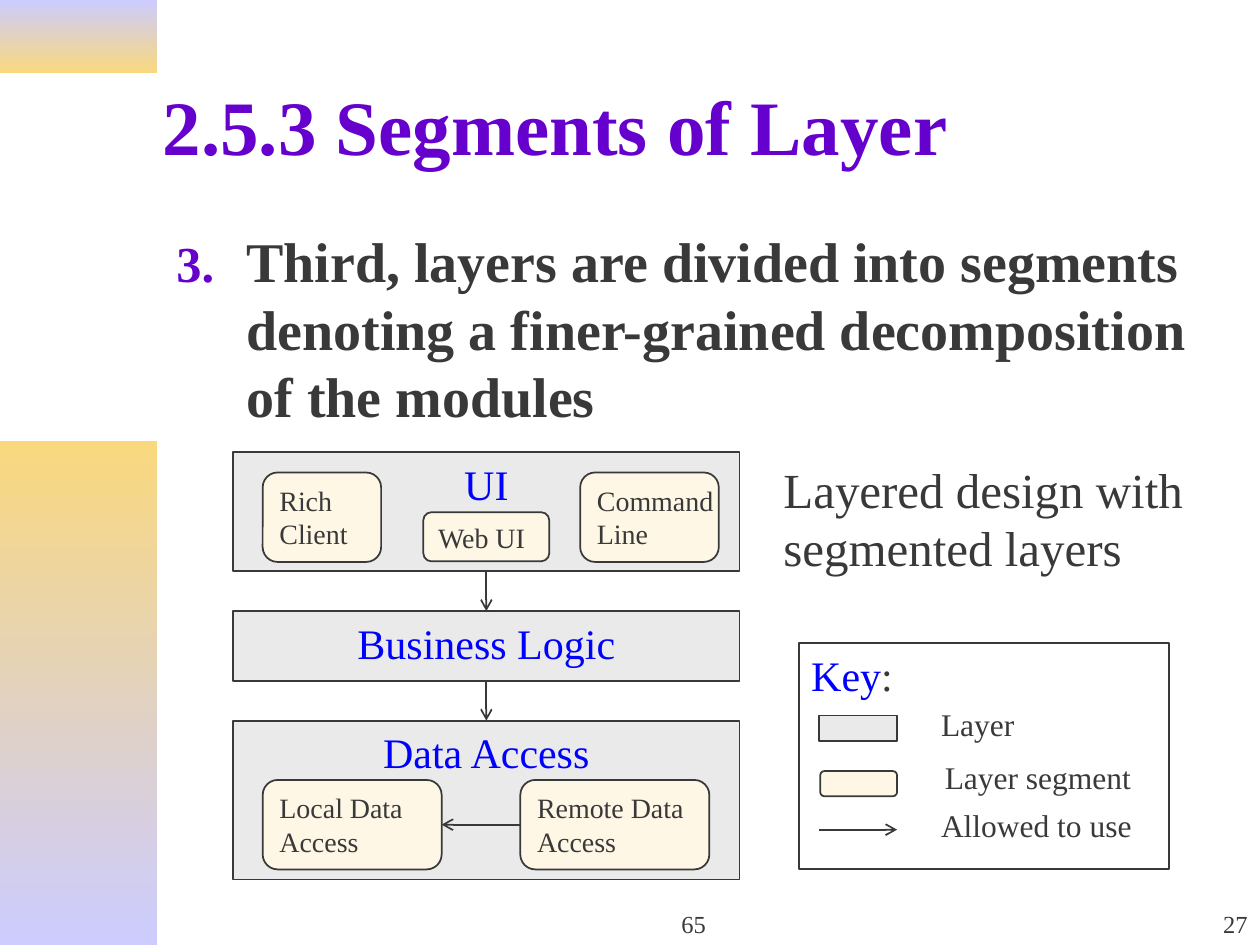
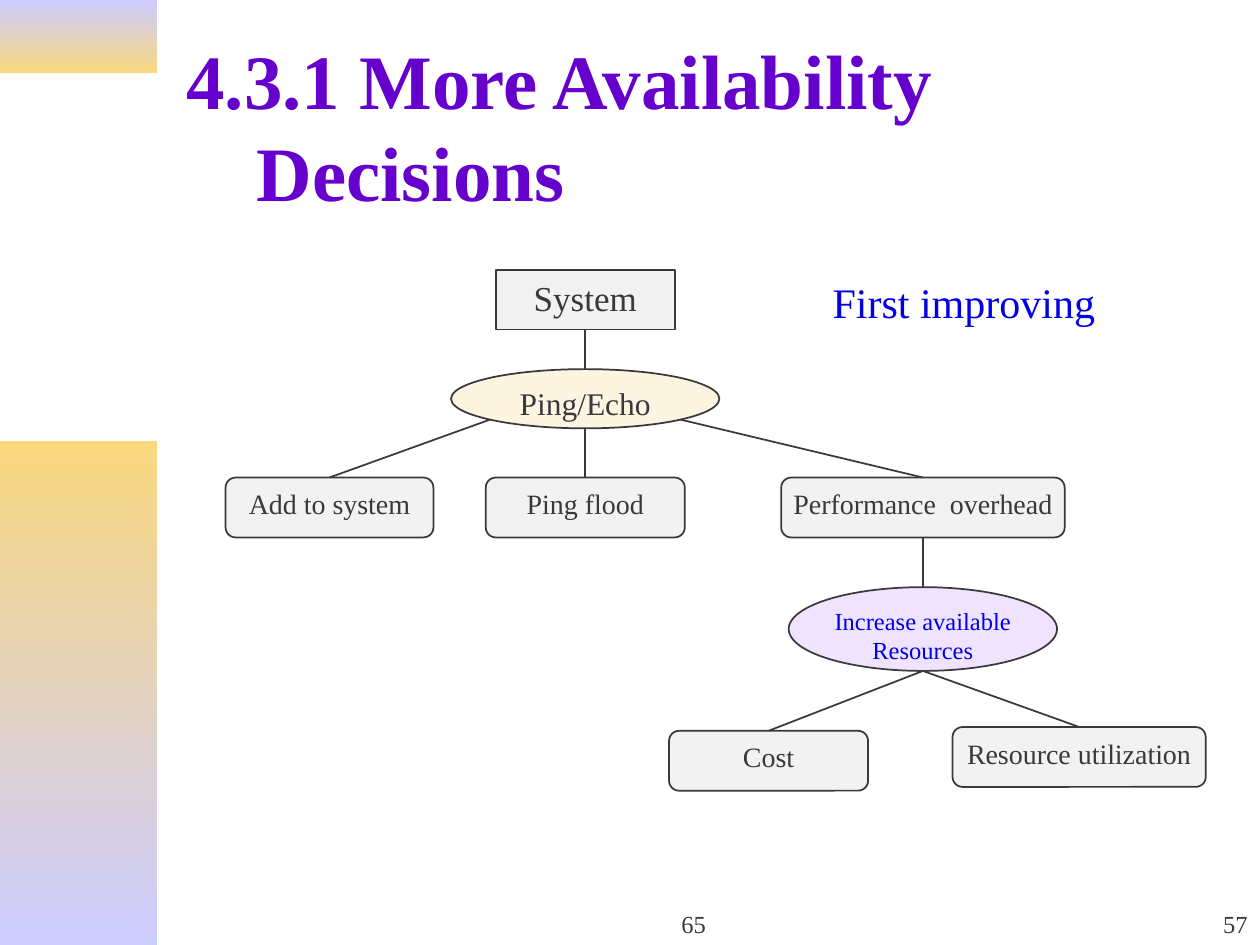
from lxml import etree
from pptx import Presentation
from pptx.dml.color import RGBColor
from pptx.enum.shapes import MSO_CONNECTOR, MSO_SHAPE
from pptx.enum.text import MSO_ANCHOR, MSO_AUTO_SIZE, PP_ALIGN
from pptx.oxml.ns import qn
from pptx.util import Pt

RECT, ROUND, OVAL = MSO_SHAPE.RECTANGLE, MSO_SHAPE.ROUNDED_RECTANGLE, MSO_SHAPE.OVAL
STRAIGHT = MSO_CONNECTOR.STRAIGHT
LEFT, CENTER, RIGHT = PP_ALIGN.LEFT, PP_ALIGN.CENTER, PP_ALIGN.RIGHT
TOP_ANCHOR, MIDDLE, BOTTOM_ANCHOR = MSO_ANCHOR.TOP, MSO_ANCHOR.MIDDLE, MSO_ANCHOR.BOTTOM
NO_FIT = MSO_AUTO_SIZE.NONE
TOP, LEFT_SIDE, BOTTOM, RIGHT_SIDE = range(4)

FONT = "Times New Roman"
COLORS = {name: RGBColor.from_string(value) for name, value in {
    "heading": "6600CC", "ink": "393939", "layer_name": "0000FF", "accent": "0000E5",
    "layer": "EAEAEA", "segment": "FEF7E5", "node": "F2F2F2", "white": "FFFFFF",
    "tactic": "FBE9C0", "added_tactic": "E0C2FF", "lilac": "CCCCFF", "gold": "F9D87E",
}.items()}

prs = Presentation()
prs.slide_width, prs.slide_height = Pt(720), Pt(540)
CELL = prs.slide_width / 100  # the slide is 100 columns by 75 rows of square cells


def box(slide, at, text="", size=16, kind=None, fill=None, color="ink",
        align=LEFT, anchor=TOP_ANCHOR, alpha=None):
    """Add an outlined shape, or a bare text box when kind is None; at is in cells."""
    place = [round(v * CELL) for v in at]
    if kind is None:
        shape = slide.shapes.add_textbox(*place)
    else:
        shape = slide.shapes.add_shape(kind, *place)
        shape.shadow.inherit = False
        shape.fill.solid()
        shape.fill.fore_color.rgb = COLORS[fill]
        shape.line.color.rgb = COLORS["ink"]
        shape.line.width = Pt(1)
    if alpha:
        tint = shape.fill._xPr.find(qn("a:solidFill"))[0]
        etree.SubElement(tint, qn("a:alpha"), val=str(alpha * 1000))
    frame = shape.text_frame
    frame.word_wrap = False
    frame.vertical_anchor = anchor
    frame.text = text
    for paragraph in frame.paragraphs:
        paragraph.alignment = align
        for key, value in {"name": FONT, "size": Pt(size)}.items():
            setattr(paragraph.font, key, value)
        paragraph.font.color.rgb = COLORS[color]
    return shape


def link(slide, start, end, arrow=False):
    """Draw a line; each end is (shape, side) or (column, row)."""
    ends = [[round(v * CELL) for v in spot] if isinstance(spot[0], (int, float)) else (0, 0)
            for spot in (start, end)]
    line = slide.shapes.add_connector(STRAIGHT, *ends[0], *ends[1])
    for spot, connect in ((start, line.begin_connect), (end, line.end_connect)):
        if not isinstance(spot[0], (int, float)):
            connect(*spot)
    line.line.color.rgb = COLORS["ink"]
    line.line.width = Pt(1)
    if arrow:
        etree.SubElement(line.line._get_or_add_ln(), qn("a:tailEnd"), type="arrow")
    etree.SubElement(line._element.spPr, qn("a:effectLst"))


# Both slides: title, page numbers
segments = prs.slides.add_slide(prs.slide_layouts[1])
decisions = prs.slides.add_slide(prs.slide_layouts[5])
for slide, title, left, width, page in (
        (segments, "2.5.3 Segments of Layer", 11.9, 87.7, "27"),
        (decisions, "4.3.1 More Availability Decisions", 13.8, 85.9, "57")):
    heading = slide.shapes.title
    for side, value in zip(("left", "top", "width", "height"), (left, 3.3, width, 13.2)):
        setattr(heading, side, round(value * CELL))
    heading.text_frame.text = title
    heading.text_frame.auto_size = NO_FIT
    heading.text_frame.vertical_anchor = MIDDLE
    line = heading.text_frame.paragraphs[0]
    line.alignment = LEFT
    for key, value in {"name": FONT, "size": Pt(44), "bold": True}.items():
        setattr(line.font, key, value)
    line.font.color.rgb = COLORS["heading"]
    box(slide, (39.2, 70, 31.7, 5), "65", 14, align=CENTER, anchor=BOTTOM_ANCHOR)
    box(slide, (79.2, 70, 20.8, 5), page, 14, align=RIGHT, anchor=BOTTOM_ANCHOR)
hanging = decisions.shapes.title.text_frame.paragraphs[0]._p.get_or_add_pPr()
hanging.set("marL", str(Pt(40)))
hanging.set("indent", str(-Pt(40)))

# Side bands, kept on the master
for at, shades in (((0, 0, 12.5, 5.8), ("lilac", "gold")),
                   ((0, 35, 12.5, 40), ("gold", "lilac"))):
    band = box(segments, at, kind=RECT, fill="gold")
    band.line.fill.background()
    band.fill.gradient()
    band.fill.gradient_angle = 270
    for stop, shade, position in zip(band.fill.gradient_stops, shades, (0, 1)):
        stop.color.rgb = COLORS[shade]
        stop.position = position
    prs.slide_master.shapes._spTree.insert(2, band._element)

# Slide 1: numbered statement
statement = segments.placeholders[1]
for side, value in zip(("left", "top", "width", "height"), (13, 17.5, 86.6, 17.6)):
    setattr(statement, side, round(value * CELL))
statement.text_frame.text = ("Third, layers are divided into segments denoting "
                             "a finer-grained decomposition of the modules")
statement.text_frame.auto_size = NO_FIT
point = statement.text_frame.paragraphs[0]
point.space_before = Pt(0)
numbering = point._p.get_or_add_pPr()
numbering.set("marL", str(Pt(40)))
numbering.set("indent", str(-Pt(40)))
number_color = etree.SubElement(numbering, qn("a:buClr"))
etree.SubElement(number_color, qn("a:srgbClr"), val=str(COLORS["heading"]))
etree.SubElement(numbering, qn("a:buSzPct"), val="90000")
etree.SubElement(numbering, qn("a:buFont"), typeface=FONT)
etree.SubElement(numbering, qn("a:buAutoNum"), type="arabicPeriod", startAt="3")
for key, value in {"name": FONT, "size": Pt(32), "bold": True}.items():
    setattr(point.font, key, value)
point.font.color.rgb = COLORS["ink"]

# Slide 1: layers and their segments
ui, logic, data = [
    box(segments, (18.5, top, 40.2, height), name, 24, RECT, "layer", "layer_name", CENTER)
    for name, top, height in (("UI", 35.9, 9.45), ("Business Logic", 48.5, 5.55),
                              ("Data Access", 57.2, 12.6))]
web, rich, command, local, remote = [
    box(segments, at, name, 16, ROUND, "segment")
    for name, at in (("Web UI", (33.6, 40.65, 10, 3.9)),
                     ("Rich\nClient", (20.85, 37.5, 9.4, 7.1)),
                     ("Command\nLine", (46.05, 37.5, 11, 7.1)),
                     ("Local Data\nAccess", (20.85, 61.9, 14.2, 7.1)),
                     ("Remote Data\nAccess", (41.3, 61.9, 15, 7.1)))]
link(segments, (remote, LEFT_SIDE), (local, RIGHT_SIDE), arrow=True)
for user, used in ((ui, logic), (logic, data)):
    link(segments, (user, BOTTOM), (used, TOP), arrow=True)

# Slide 1: key and caption
key_panel = box(segments, (63.4, 51.05, 29.4, 17.95), "Key", 24, RECT, "white", "layer_name")
colon = key_panel.text_frame.paragraphs[0].add_run()
colon.text = ":"
colon.font.color.rgb = COLORS["ink"]
box(segments, (65, 56.8, 6.2, 2), kind=RECT, fill="layer")
box(segments, (65.1, 61.2, 6.1, 2), kind=ROUND, fill="segment")
link(segments, (65, 65.85), (71.2, 65.85), arrow=True)
for meaning, left, top in (("Layer", 73.7, 55.45), ("Layer segment", 74, 59.65),
                           ("Allowed to use", 73.7, 63.5)):
    box(segments, (left, top, 18.5, 4), meaning, 18)
box(segments, (61.2, 35.95, 36, 10.4), "Layered design with\nsegmented layers", 28)

# Slide 2: decision tree
system = box(decisions, (39.35, 21.45, 14.2, 4.7), "System", 20, RECT, "node", align=CENTER)
ping = box(decisions, (35.8, 29.3, 21.3, 4.7), "Ping/Echo", 18, OVAL, "tactic",
           align=CENTER, alpha=46)
increase = box(decisions, (62.6, 46.6, 21.3, 6.65), "Increase available\nResources", 14,
               OVAL, "added_tactic", "accent", CENTER, alpha=46)
add, flood, overhead, cost, utilization = [
    box(decisions, (left, top, width, 4.75), name, 16, ROUND, "node", align=CENTER)
    for name, left, top, width in (("Add to system", 17.9, 37.9, 16.5),
                                   ("Ping flood", 38.55, 37.9, 15.8),
                                   ("Performance  overhead", 62, 37.9, 22.5),
                                   ("Cost", 53.1, 58, 15.8),
                                   ("Resource utilization", 75.6, 57.7, 20.1))]
for upper, lower in (((system, BOTTOM), ping), ((38.9, 33.3), add), ((46.45, 34), flood),
                     ((54, 33.3), overhead), ((overhead, BOTTOM), increase),
                     ((73.25, 53.25), cost), ((73.25, 53.25), utilization)):
    link(decisions, upper, (lower, TOP))
box(decisions, (65.1, 21.45, 25, 5), "First improving", 24, color="accent")

prs.save("out.pptx")
